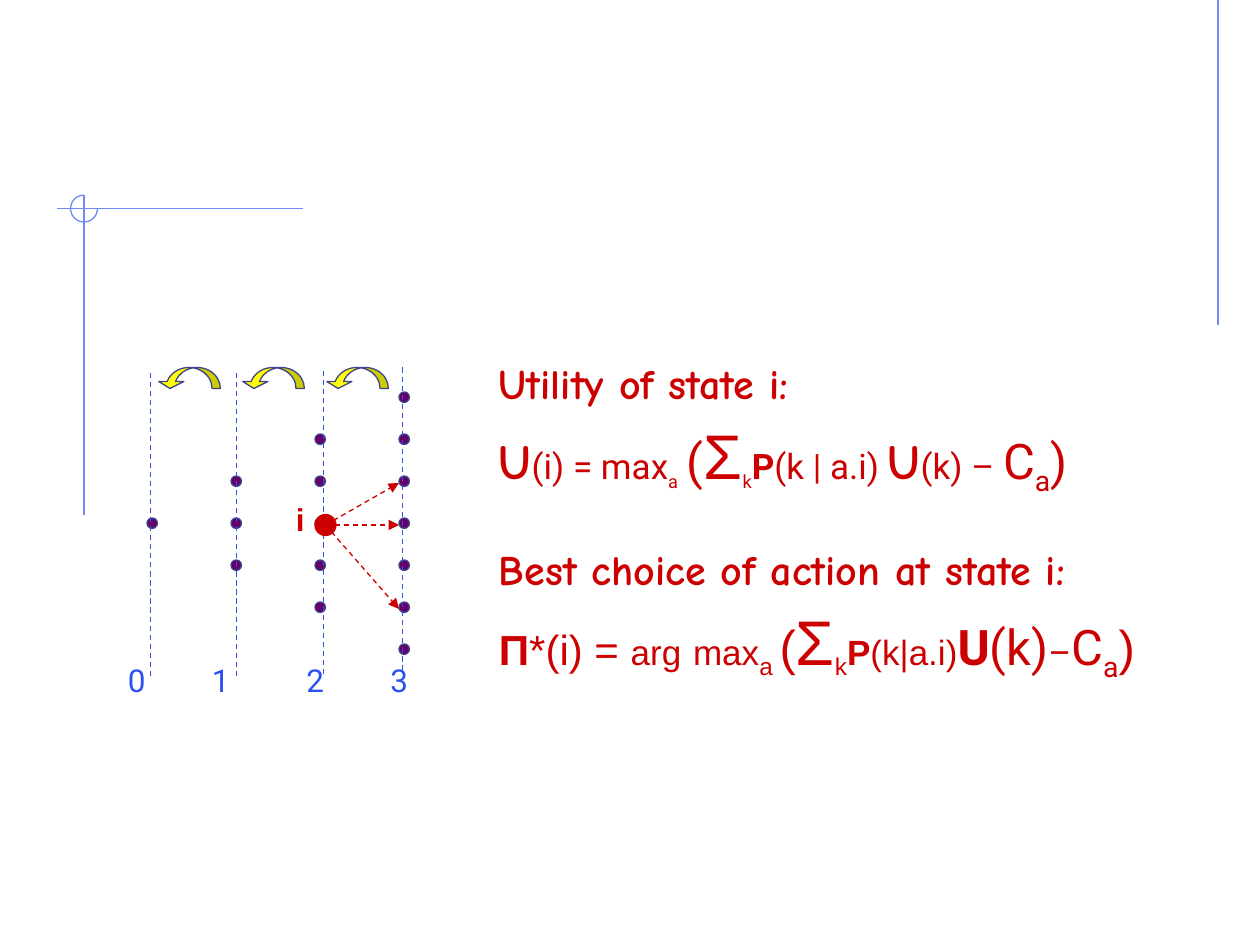
from pptx import Presentation
from pptx import util as u
from pptx.dml.color import RGBColor
from pptx.enum import dml, shapes, text
from pptx.oxml.ns import qn
from lxml import etree

Pt = u.Pt

THEME = {
    "red": "CC0000", "blue": "2B51F3", "frame": "6F89F7", "dot": "660066",
    "edge": "40458C", "yellow": "FFFF00",
    "comic": "Comic Neue", "sans": "Roboto", "arial": "Arial",
    "line": 0.75, "label": 18, "head": 24,
}

# Content: (space before, runs); run = text, size, font, bold, baseline %
FORMULAS = [
    (6, [("Utility of state i:", THEME["head"], "comic", True, 0)]),
    (7, [("U", 28, "comic", True, 0), ("(i) = max", 20, "sans", False, 0),
         ("a", 18, "sans", False, -30), (" ", 20, "sans", False, 0),
         ("(", 28, "sans", False, 0), ("Σ", 36, "arial", False, 0),
         ("k", 18, "sans", False, -30), ("P", 20, "sans", True, 0),
         ("(k | a.i) ", 20, "sans", False, 0), ("U", 28, "comic", True, 0),
         ("(k) – ", 20, "sans", False, 0), ("C", 28, "sans", False, 0),
         ("a", 28, "sans", False, -25), (")", 28, "sans", False, 0)]),
    (32, [("Best choice of action at state i:", THEME["head"], "comic", True, 0)]),
    (7, [("Π", 24, "arial", True, 0), ("*(i) = ", 24, "arial", False, 0),
         ("arg", 20, "arial", False, 0), (" ", 24, "arial", False, 0),
         ("max", 20, "arial", False, 0), ("a ", 24, "arial", False, -25),
         ("(", 28, "arial", False, 0), ("Σ", 36, "arial", False, 0),
         ("k", 24, "arial", False, -25), ("P", 20, "arial", True, 0),
         ("(k|a.i)", 20, "arial", False, 0), ("U", 28, "sans", True, 0),
         ("(k)", 28, "sans", False, 0), ("–", 20, "sans", False, 0),
         ("C", 28, "sans", False, 0), ("a", 28, "sans", False, -25),
         (")", 28, "arial", False, 0)]),
]
# Stages: label, label left, dashed line x, dashed line top
STAGES = [("0", 66, 85.9, 213), ("1", 114, 135, 213),
          ("2", 168, 185, 212), ("3", 216, 230, 210)]
FRAME = [(696, 0, 696, 186), (173, 119.2, 32.5, 119.2), (48, 111.5, 48, 294.5)]
TARGETS = [276, 300, 348]            # heights where the choices from i end

LEFT, MID, STEP, ROW, DOT = 84, 296, 48, 24, 6
HUB = (186, 300)
DASH = 173.5

deck = Presentation()
deck.slide_width, deck.slide_height = Pt(720), Pt(540)
slide = deck.slides.add_slide(deck.slide_layouts[6])
parts = slide.shapes


def color(name):
    return RGBColor.from_string(THEME[name])


def draw(kind, x, y, w, h, fill, edge):
    part = parts.add_shape(kind, Pt(x), Pt(y), Pt(w), Pt(h))
    part.shadow.inherit = False
    if fill:
        part.fill.solid()
        part.fill.fore_color.rgb = color(fill)
    else:
        part.fill.background()
    part.line.color.rgb = color(edge)
    part.line.width = Pt(THEME["line"])
    return part


def rule(x1, y1, x2, y2, hue, dash=False, head=False):
    part = parts.add_connector(shapes.MSO_CONNECTOR.STRAIGHT,
                               Pt(x1), Pt(y1), Pt(x2), Pt(y2))
    part.line.color.rgb = color(hue)
    part.line.width = Pt(THEME["line"])
    if dash:
        part.line.dash_style = dml.MSO_LINE.DASH
    if head:
        etree.SubElement(part.line._get_or_add_ln(), qn("a:tailEnd"), type="triangle")
    etree.SubElement(part._element.spPr, qn("a:effectLst"))


def write(x, y, w, h, paras, hue, space=None):
    frame = parts.add_textbox(Pt(x), Pt(y), Pt(w), Pt(h)).text_frame
    frame.word_wrap = False
    frame.auto_size = text.MSO_AUTO_SIZE.SHAPE_TO_FIT_TEXT
    for n, (gap, runs) in enumerate(paras):
        para = frame.add_paragraph() if n else frame.paragraphs[0]
        para.space_before = Pt(gap)
        if space:
            para.line_spacing = space
        for words, size, face, bold, base in runs:
            run = para.add_run()
            run.text = words
            font = run.font
            font.size, font.name, font.bold = Pt(size), THEME[face], bold
            font.color.rgb = color(hue)
            if base:
                run._r.get_or_add_rPr().set("baseline", str(base * 1000))


# Corner frame
for ends in FRAME:
    rule(*ends, "frame")
arc = draw(shapes.MSO_SHAPE.ARC, 40.3, 111.5, 15.4, 15.4, None, "frame")
arc.adjustments[0], arc.adjustments[1] = 0, 162   # 0 to 270 degrees

# Formulas
write(278, 204, 381, 222.5, FORMULAS, "red", 0.9)

# States: stage n holds 2n + 1 dots
for n in range(len(STAGES)):
    for k in range(-n, n + 1):
        draw(shapes.MSO_SHAPE.OVAL, LEFT + n * STEP, MID + k * ROW,
             DOT, DOT, "dot", "edge")

# Stage lines and labels
for name, x, mark, top in STAGES:
    rule(mark, top, mark, top + DASH, "blue", dash=True)
    write(x, 374, 24.5, 29, [(0, [(name, THEME["label"], "sans", False, 0)])], "blue")

# Backward arrows between stages
for n in range(len(STAGES) - 1):
    bow = draw(shapes.MSO_SHAPE.CURVED_DOWN_ARROW, LEFT + 6 + n * STEP, 210,
               36, 12, "yellow", "edge")
    for k, part in enumerate((0.4, 1.2, 0.33)):
        bow.adjustments[k] = part
    bow._element.spPr.xfrm.set("flipH", "1")

# State i and its choices
draw(shapes.MSO_SHAPE.OVAL, HUB[0] - 6, HUB[1] - 6, 12, 12, "red", "red")
for y in TARGETS:
    rule(*HUB, 228, y, "red", dash=True, head=True)
write(162, 282, 19.5, 29, [(0, [("i", THEME["label"], "arial", True, 0)])], "red")

deck.save("out.pptx")
